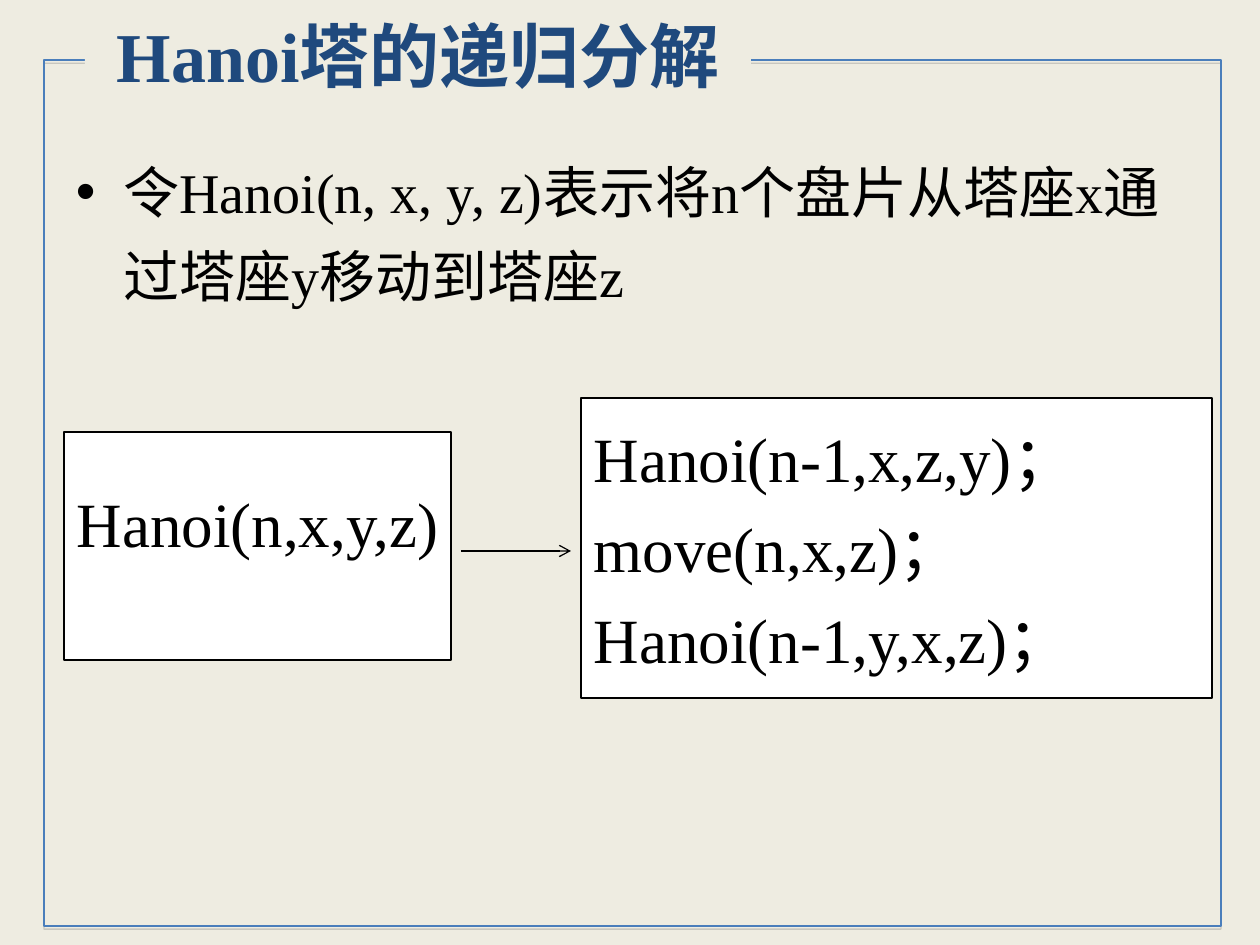
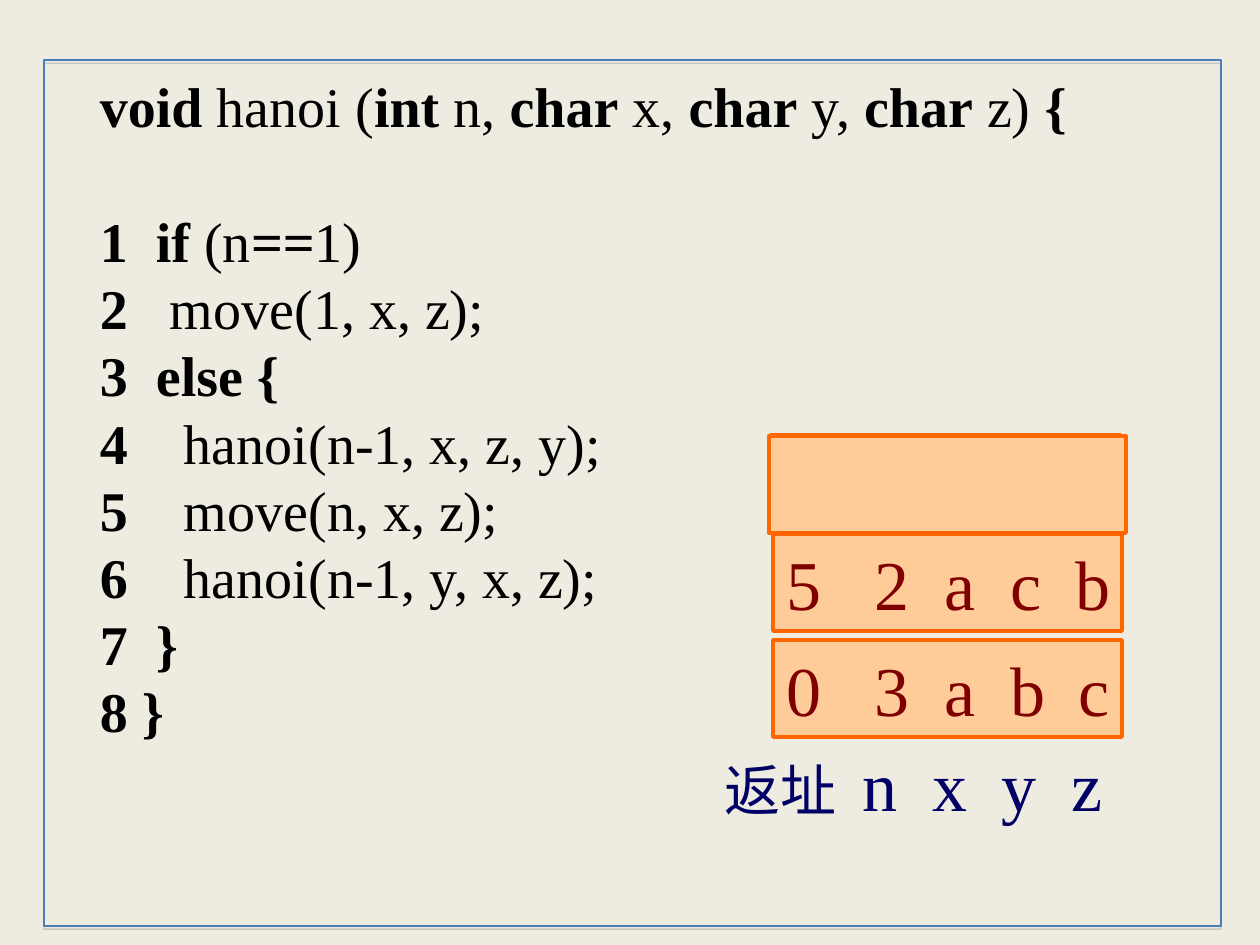
from dataclasses import dataclass
from lxml.etree import SubElement
from pptx import Presentation
from pptx.dml.color import RGBColor
from pptx.enum.shapes import MSO_CONNECTOR, MSO_SHAPE
from pptx.enum.text import MSO_ANCHOR, MSO_AUTO_SIZE, PP_ALIGN
from pptx.oxml.ns import qn
from pptx.util import Inches, Pt

EMU_PER_PX = Inches(1) / 126


@dataclass(frozen=True)
class Theme:
    """Colours, font and type sizes shared by the slides."""
    font: str = "Times New Roman"
    paper: str = "EEECE1"
    frame: str = "4A7EBB"
    shadow: str = "808080"
    title: str = "1F497D"
    ink: str = "000000"
    white: str = "FFFFFF"
    stack_fill: str = "FFCC99"
    stack_line: str = "FF6600"
    stack_text: str = "800000"
    label: str = "000066"
    large: int = 40
    medium: int = 36
    body: int = 32
    hairline: float = 0.75
    thick: float = 2.25


T = Theme()
INSETS = (13, 6, 13, 6)
CODE = [
    "*void *hanoi (*int* n, *char* x, *char* y, *char* z) *{",
    "*1  if *(n*==*1)",
    "*2*   move(1, x, z);",
    "*3  else {",
    "*4*    hanoi(n-1, x, z, y);",
    "*5*    move(n, x, z);",
    "*6*    hanoi(n-1, y, x, z);",
    "*7  }",
    "*8 }",
]


def px(n):
    """Turn pixels into EMU."""
    return round(n * EMU_PER_PX)


def rgb(value):
    """Turn a hex string into a colour."""
    return RGBColor.from_string(value)


def apply(obj, values):
    """Set every attribute of a dict on an object."""
    for name, value in values.items():
        setattr(obj, name, value)


def place(s, left, top, width, height):
    """Move and size a shape in px."""
    apply(s, dict(left=px(left), top=px(top), width=px(width), height=px(height)))


def add_tabs(p, tabs):
    """Give a paragraph tab stops, each a px position and an alignment."""
    tab_list = SubElement(p._p.get_or_add_pPr(), qn("a:tabLst"))
    for pos, align in tabs:
        SubElement(tab_list, qn("a:tab"), pos=str(px(pos)), algn=align)


def write(s, lines, size, color, marked=None, insets=INSETS, tabs=(),
          anchor=MSO_ANCHOR.TOP, **paragraph):
    """Write lines into a shape; text between asterisks takes the marked format."""
    tf = s.text_frame
    margins = zip(("margin_left", "margin_top", "margin_right", "margin_bottom"), insets)
    apply(tf, dict(word_wrap=True, auto_size=MSO_AUTO_SIZE.NONE, vertical_anchor=anchor))
    apply(tf, {name: px(n) for name, n in margins})
    for i, line in enumerate(lines):
        p = tf.add_paragraph() if i else tf.paragraphs[0]
        if tabs:
            add_tabs(p, tabs)
        apply(p, dict(alignment=PP_ALIGN.LEFT, space_before=Pt(0)) | paragraph)
        for j, text in enumerate(line.split("*")):
            if text:
                r = p.add_run()
                r.text = text
                base = dict(name=T.font, size=Pt(size), bold=False)
                apply(r.font, base | (marked or {} if j % 2 else {}))
                r.font.color.rgb = rgb(color)


def add_box(slide, area, fill, line, weight):
    """Add a rectangle with a line and an optional fill."""
    s = slide.shapes.add_shape(MSO_SHAPE.RECTANGLE, *map(px, area))
    s.shadow.inherit = False
    if fill:
        s.fill.solid()
        s.fill.fore_color.rgb = rgb(fill)
    else:
        s.fill.background()
    s.line.color.rgb = rgb(line)
    s.line.width = Pt(weight)
    return s


def add_text(slide, area, lines, size, color, **fmt):
    """Add a text box."""
    s = slide.shapes.add_textbox(*map(px, area))
    write(s, lines, size, color, **fmt)
    return s


def add_call_box(slide, area, lines, **fmt):
    """Add a white box that holds function calls."""
    s = add_box(slide, area, T.white, T.ink, T.hairline)
    write(s, lines, T.medium, T.ink, **fmt)


def add_stack_row(slide, area, text=""):
    """Add one frame of the call stack."""
    s = add_box(slide, area, T.stack_fill, T.stack_line, T.thick)
    if text:
        tabs = [(88, "l"), (158, "l"), (224, "l"), (324, "r")]
        write(s, [text], T.large, T.stack_text, tabs=tabs, insets=(13, 6, 0, 6))


def add_arrow(slide, x1, y1, x2, y2):
    """Add a thin line with an open arrowhead at its end."""
    s = slide.shapes.add_connector(MSO_CONNECTOR.STRAIGHT, *map(px, (x1, y1, x2, y2)))
    s.line.color.rgb = rgb(T.ink)
    s.line.width = Pt(T.hairline)
    SubElement(s.line._get_or_add_ln(), qn("a:tailEnd"), type="arrow")
    SubElement(s._element.spPr, qn("a:effectLst"))


def style_master(prs, slide):
    """Put the background and the shadowed frame on the master."""
    master = prs.slide_master
    master.background.fill.solid()
    master.background.fill.fore_color.rgb = rgb(T.paper)
    s = add_box(slide, (44, 60, 1177, 866), None, T.frame, T.hairline)
    effects = s._element.spPr.find(qn("a:effectLst"))
    shadow = SubElement(effects, qn("a:outerShdw"), blurRad="0", dist=str(Pt(1.8)),
                        dir="5400000", rotWithShape="0")
    color = SubElement(shadow, qn("a:srgbClr"), val=T.shadow)
    SubElement(color, qn("a:alpha"), val="35000")
    s._element.nvSpPr.cNvPr.set("id", "100")
    master.shapes.element.insert(2, s._element)


def build_decomposition(slide):
    """Show how one call splits into three."""
    title, body = slide.placeholders
    place(title, 85, 4, 666, 101)
    title.fill.solid()
    title.fill.fore_color.rgb = rgb(T.paper)
    write(title, ["*Hanoi塔的递归分解"], T.large, T.title, dict(bold=True),
          anchor=MSO_ANCHOR.MIDDLE, alignment=PP_ALIGN.CENTER)
    place(body, 63, 135, 1134, 185)
    p_pr = body.text_frame.paragraphs[0]._p.get_or_add_pPr()
    apply(p_pr, dict(marL=px(48), indent=px(-48)))
    bullet_color = SubElement(p_pr, qn("a:buClr"))
    SubElement(bullet_color, qn("a:srgbClr"), val=T.ink)
    SubElement(p_pr, qn("a:buChar"), char="•")
    write(body, ["令Hanoi(n, x, y, z)表示将n个盘片从塔座x通过塔座y移动到塔座z"],
          T.body, T.ink, line_spacing=1.25)
    add_call_box(slide, (64, 432, 387, 228), ["Hanoi(n,x,y,z)"],
                 insets=(3, 53, 3, 6), alignment=PP_ALIGN.CENTER)
    add_call_box(slide, (581, 398, 631, 300),
                 ["Hanoi(n-1,x,z,y)；", "move(n,x,z)；", "Hanoi(n-1,y,x,z)；"],
                 line_spacing=1.2, alignment=PP_ALIGN.JUSTIFY)
    add_arrow(slide, 461, 551, 571, 551)


def build_call_stack(slide):
    """Show the numbered code beside its call stack."""
    s = add_text(slide, (87, 66, 995, 685), CODE, T.body, T.ink, marked=dict(bold=True))
    s.text_frame.paragraphs[0].space_after = Pt(38.4)
    add_stack_row(slide, (773, 640, 349, 97), "0\t3\ta\tb\tc")
    add_text(slide, (711, 735, 425, 97), ["返址*\tn\tx\ty\tz"], T.body, T.label,
             marked=dict(size=Pt(T.large)),
             tabs=[(138 + 70 * i, "l") for i in range(4)])
    add_stack_row(slide, (773, 534, 349, 97), "5\t2\ta\tc\tb")
    add_stack_row(slide, (771, 435, 349, 97))
    add_stack_row(slide, (769, 436, 357, 97))


def main():
    """Build and save the presentation."""
    prs = Presentation()
    apply(prs, dict(slide_width=Inches(10), slide_height=Inches(7.5)))
    layouts = prs.slide_layouts
    decomposition = prs.slides.add_slide(layouts.get_by_name("Title and Content"))
    call_stack = prs.slides.add_slide(layouts.get_by_name("Blank"))
    style_master(prs, decomposition)
    build_decomposition(decomposition)
    build_call_stack(call_stack)
    prs.save("out.pptx")


if __name__ == "__main__":
    main()
